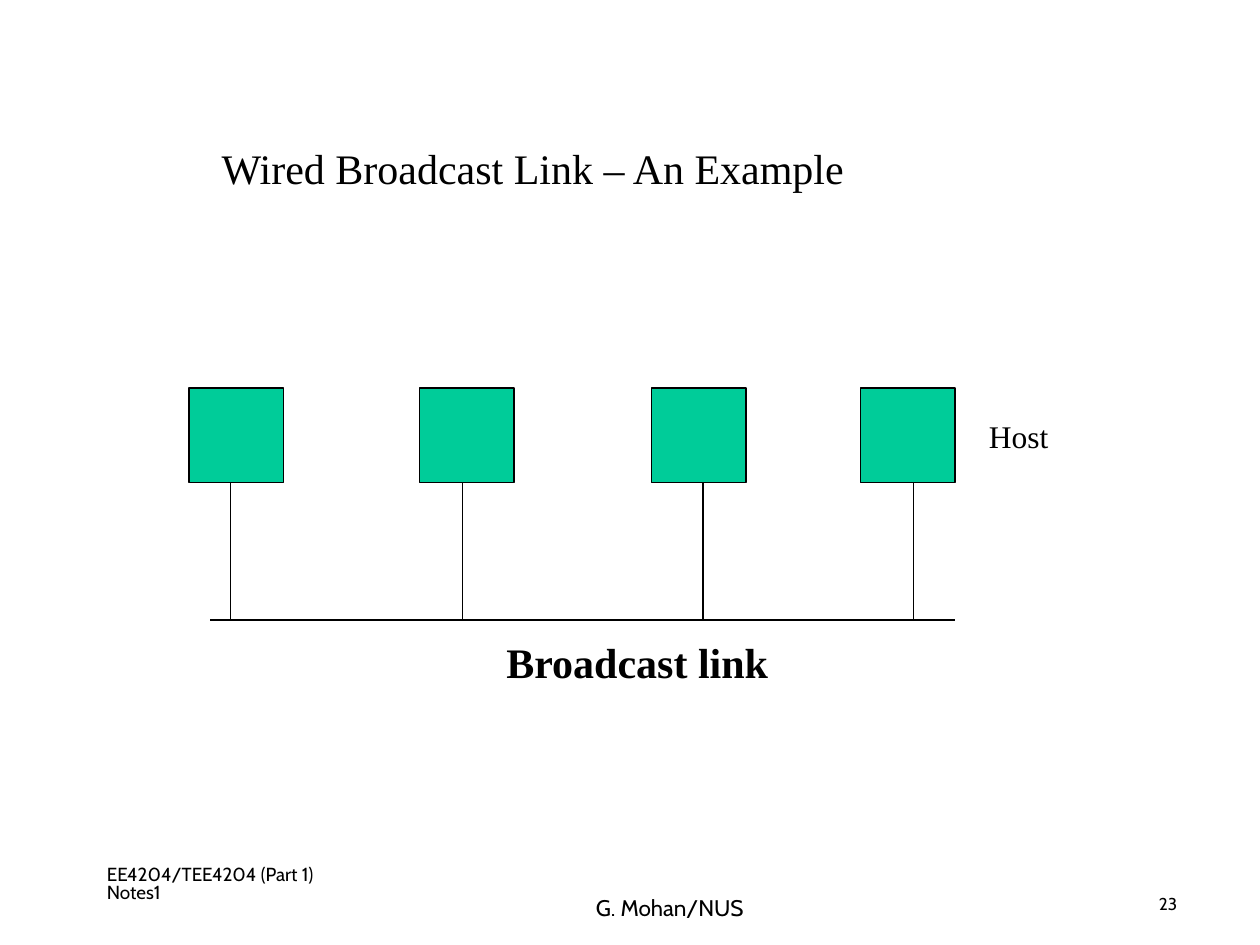
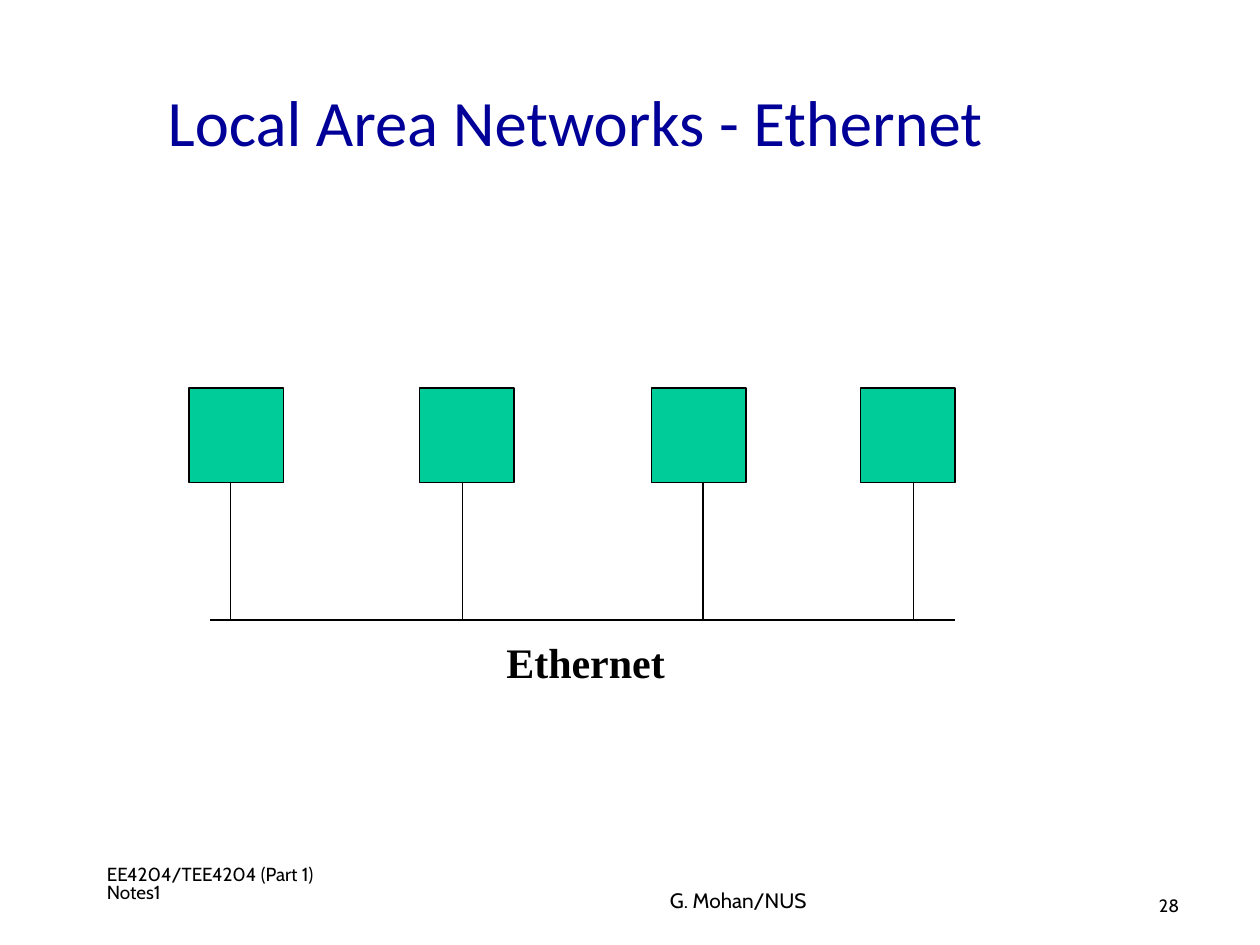
from dataclasses import dataclass

from lxml import etree
from pptx import Presentation
from pptx.dml.color import RGBColor
from pptx.enum.shapes import MSO_CONNECTOR, MSO_SHAPE
from pptx.enum.text import MSO_ANCHOR, MSO_AUTO_SIZE, PP_ALIGN
from pptx.oxml.ns import qn
from pptx.util import Inches, Pt

STRAIGHT = MSO_CONNECTOR.STRAIGHT
RECTANGLE = MSO_SHAPE.RECTANGLE
TOP = MSO_ANCHOR.TOP
NO_AUTOFIT = MSO_AUTO_SIZE.NONE
LEFT, RIGHT = PP_ALIGN.LEFT, PP_ALIGN.RIGHT
TITLE_ONLY = 5


@dataclass(frozen=True)
class Theme:
    """Colours, fonts and type sizes of the deck."""
    ink: RGBColor = RGBColor(0x00, 0x00, 0x00)
    navy: RGBColor = RGBColor(0x00, 0x00, 0x99)
    host_fill: RGBColor = RGBColor(0x00, 0xCC, 0x99)
    serif: str = "Times New Roman"
    sans: str = "Calibri"
    footer_font: str = "Cabin"
    title_size: float = 37
    heading_size: float = 24
    label_size: float = 18
    course_size: float = 10.8
    line_width: float = 0.75


THEME = Theme()
HOST_LEFTS = (1.5, 3.33, 5.17, 6.83)
DROP_CENTERS = (1.83, 3.67, 5.58, 7.25)
HOST_TOP, HOST_SIDE = 3.08, 0.75
HOST_BOTTOM = HOST_TOP + HOST_SIDE
BUS_LEFT, BUS_RIGHT, BUS_TOP = 1.67, 7.58, 4.92


def write_text(shape, text, font_name, size, color=THEME.ink, bold=False,
               alignment=LEFT, line_spacing=1.0):
    """Fill a shape with one formatted, top-anchored paragraph."""
    frame = shape.text_frame
    frame.word_wrap = True
    frame.auto_size = NO_AUTOFIT
    frame.vertical_anchor = TOP
    frame.text = text
    paragraph = frame.paragraphs[0]
    paragraph.alignment = alignment
    paragraph.line_spacing = line_spacing
    font = paragraph.font
    font.name, font.size, font.bold = font_name, Pt(size), bold
    font.color.rgb = color


def add_text(slide, box, text, font_name, size, **style):
    """Add a text box; box is left, top, width and height in inches."""
    shape = slide.shapes.add_textbox(*map(Inches, box))
    write_text(shape, text, font_name, size, **style)


def set_title(slide, box, text, font_name, size, **style):
    """Move and fill the title placeholder."""
    title = slide.shapes.title
    title.left, title.top, title.width, title.height = map(Inches, box)
    write_text(title, text, font_name, size, **style)


def add_host(slide, left):
    """Add one host square."""
    host = slide.shapes.add_shape(
        RECTANGLE, *map(Inches, (left, HOST_TOP, HOST_SIDE, HOST_SIDE)))
    host.shadow.inherit = False
    host.fill.solid()
    host.fill.fore_color.rgb = THEME.host_fill
    host.line.color.rgb = THEME.ink
    host.line.width = Pt(THEME.line_width)


def add_line(slide, start_x, start_y, end_x, end_y):
    """Add a thin straight line without a shadow."""
    line = slide.shapes.add_connector(
        STRAIGHT, *map(Inches, (start_x, start_y, end_x, end_y)))
    line.line.color.rgb = THEME.ink
    line.line.width = Pt(THEME.line_width)
    etree.SubElement(line._element.spPr, qn("a:effectLst"))


def add_bus_network(slide, name, name_width):
    """Draw the hosts, their drops and the shared link with its name."""
    for left in HOST_LEFTS:
        add_host(slide, left)
    add_line(slide, BUS_LEFT, BUS_TOP, BUS_RIGHT, BUS_TOP)
    for center in DROP_CENTERS:
        add_line(slide, center, BUS_TOP, center, HOST_BOTTOM)
    add_text(slide, (3.92, 5, name_width, 0.5), name, THEME.serif,
             THEME.heading_size, bold=True)


def add_footer(slide, author_box, author_size, number, number_size, number_spacing):
    """Add the course, author and page number."""
    add_text(slide, (0.75, 6.83, 2.08, 0.5), "EE4204/TEE4204 (Part 1) Notes1",
             THEME.footer_font, THEME.course_size, line_spacing=0.8)
    add_text(slide, author_box, "G. Mohan/NUS", THEME.footer_font, author_size,
             alignment=RIGHT, line_spacing=0.9)
    add_text(slide, (9.1, 7.07, 0.74, 0.3), number, THEME.footer_font,
             number_size, line_spacing=number_spacing)


def build_broadcast_slide(slide):
    """Build the wired broadcast link example."""
    set_title(slide, (1.66, 1.08, 7.25, 0.5), "Wired Broadcast Link – An Example",
              THEME.serif, THEME.heading_size)
    add_bus_network(slide, "Broadcast link", 2.42)
    add_text(slide, (7.75, 3.26, 1, 0.4), "Host", THEME.serif, THEME.label_size)
    add_footer(slide, (4.32, 7.07, 1.68, 0.32), 12.9, "23", 9.8, 0.8)


def build_ethernet_slide(slide):
    """Build the Ethernet local area network."""
    set_title(slide, (1.23, 0.67, 8.27, 1.25), "Local Area Networks - Ethernet",
              THEME.sans, THEME.title_size, color=THEME.navy, line_spacing=0.9)
    add_bus_network(slide, "Ethernet", 1.67)
    add_footer(slide, (3.33, 7.02, 3.17, 0.31), 11.9, "28", 10.2, 0.9)


def main():
    """Build and save the deck."""
    presentation = Presentation()
    presentation.slide_width, presentation.slide_height = Inches(10), Inches(7.5)
    layout = presentation.slide_layouts[TITLE_ONLY]
    for build in (build_broadcast_slide, build_ethernet_slide):
        build(presentation.slides.add_slide(layout))
    presentation.save("out.pptx")


if __name__ == "__main__":
    main()
